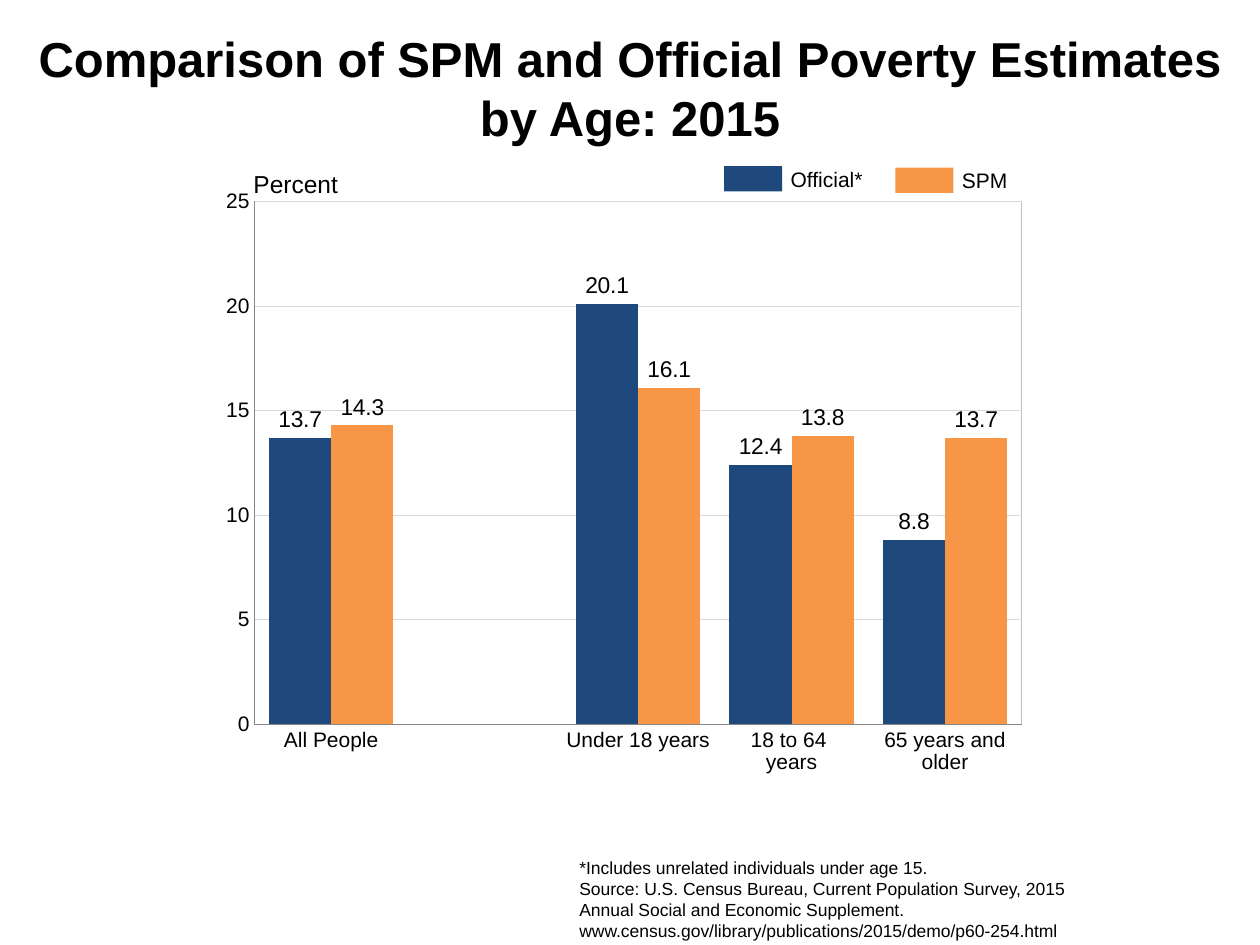
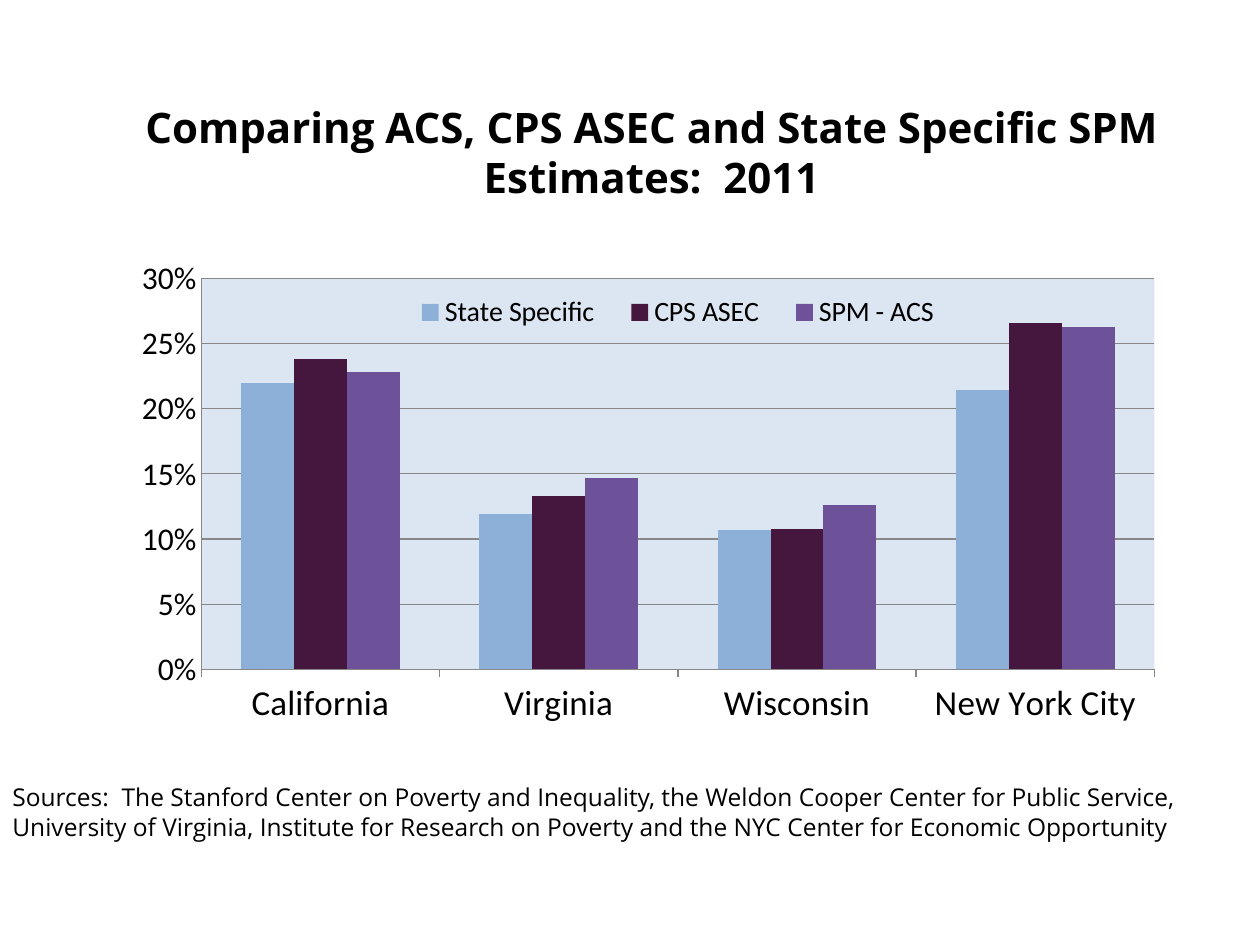
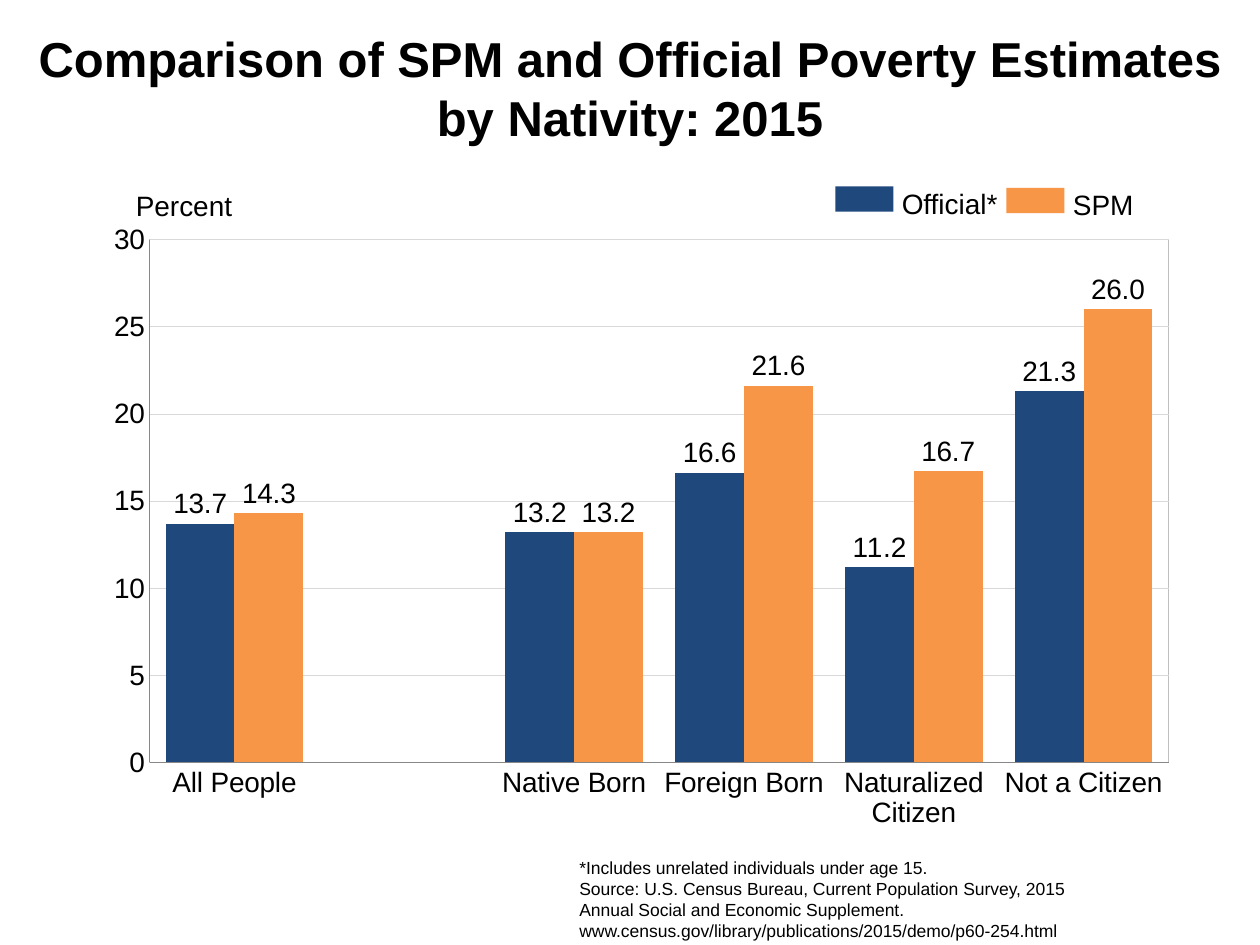
from pptx import Presentation
from pptx.chart.data import CategoryChartData
from pptx.dml.color import RGBColor
from pptx.enum.chart import XL_CHART_TYPE, XL_LABEL_POSITION, XL_LEGEND_POSITION, XL_TICK_MARK
from pptx.enum.shapes import MSO_SHAPE
from pptx.enum.text import MSO_ANCHOR, PP_ALIGN
from pptx.oxml import parse_xml
from pptx.oxml.ns import nsdecls, qn
from pptx.util import Cm, Pt

BLACK = RGBColor(0x00, 0x00, 0x00)
NAVY = RGBColor(0x1F, 0x49, 0x7D)
ORANGE = RGBColor(0xF7, 0x96, 0x46)
SKY = RGBColor(0x8D, 0xB0, 0xD9)
PLUM = RGBColor(0x45, 0x17, 0x3E)
VIOLET = RGBColor(0x6D, 0x52, 0x99)
PALE_BLUE = RGBColor(0xDC, 0xE6, 0xF2)
LIGHT_GREY = RGBColor(0xD9, 0xD9, 0xD9)
FRAME_GREY = RGBColor(0xBF, 0xBF, 0xBF)
AXIS_GREY = RGBColor(0x87, 0x87, 0x87)

CENSUS_FONT = "Arial"
STATE_FONT = "Open Sans"
CHART_FONT = "Calibri"

CENSUS_NOTE = (
    "*Includes unrelated individuals under age 15.\n"
    "Source: U.S. Census Bureau, Current Population Survey, 2015 "
    "Annual Social and Economic Supplement.\n"
    "www.census.gov/library/publications/2015/demo/p60-254.html"
)
STATE_SOURCES = (
    "Sources:  The Stanford Center on Poverty and Inequality, the Weldon Cooper Center "
    "for Public Service, University of Virginia, Institute for Research on Poverty "
    "and the NYC Center for Economic Opportunity"
)


def style_font(font, name, size, bold=False):
    font.name = name
    font.size = Pt(size)
    font.bold = bold
    font.color.rgb = BLACK


def add_text(slide, box, text, font_name, size, bold=False, inset=True):
    frame = slide.shapes.add_textbox(*map(Cm, box)).text_frame
    frame.word_wrap = True
    if not inset:
        frame.margin_left = frame.margin_right = frame.margin_top = frame.margin_bottom = 0
    frame.text = text
    for paragraph in frame.paragraphs:
        for run in paragraph.runs:
            style_font(run.font, font_name, size, bold)
    return frame


def add_title(slide, box, text, font_name, size):
    frame = add_text(slide, box, text, font_name, size, bold=True)
    frame.vertical_anchor = MSO_ANCHOR.MIDDLE
    frame.paragraphs[0].alignment = PP_ALIGN.CENTER


def manual_layout(bounds, inner=False):
    target = '<c:layoutTarget val="inner"/>' if inner else ""
    modes = '<c:xMode val="edge"/><c:yMode val="edge"/>'
    sizes = "".join(f'<c:{key} val="{value}"/>' for key, value in zip("xywh", bounds))
    return parse_xml(
        f'<c:layout {nsdecls("c")}><c:manualLayout>{target}{modes}{sizes}'
        "</c:manualLayout></c:layout>"
    )


def style_plot_area(chart, bounds, fill=None, frame=None):
    plot_area = chart._chartSpace.chart.plotArea
    for layout in plot_area.findall(qn("c:layout")):
        plot_area.remove(layout)
    plot_area.insert(0, manual_layout(bounds, inner=True))

    def paint(color):
        if color is None:
            return "<a:noFill/>"
        return f'<a:solidFill><a:srgbClr val="{color}"/></a:solidFill>'

    plot_area.append(parse_xml(
        f'<c:spPr {nsdecls("c", "a")}>{paint(fill)}<a:ln w="9525">{paint(frame)}</a:ln></c:spPr>'
    ))


def add_columns(slide, box, categories, series, gap, category_tick, number_format,
                axis_font, category_size, value_size, grid_color, grid_width):
    data = CategoryChartData()
    data.categories = categories
    for name, values, _ in series:
        data.add_series(name, values)
    chart = slide.shapes.add_chart(XL_CHART_TYPE.COLUMN_CLUSTERED, *map(Cm, box), data).chart
    chart.has_title = False
    chart.has_legend = False
    style_font(chart.font, CHART_FONT, 10)
    plot = chart.plots[0]
    plot.gap_width = gap
    plot.vary_by_categories = False
    for column, (_, _, color) in zip(plot.series, series):
        column.format.fill.solid()
        column.format.fill.fore_color.rgb = color
        column.invert_if_negative = False

    axes = ((chart.category_axis, category_size, category_tick),
            (chart.value_axis, value_size, XL_TICK_MARK.NONE))
    for axis, size, tick in axes:
        style_font(axis.tick_labels.font, axis_font, size)
        axis.major_tick_mark = tick
        axis.minor_tick_mark = XL_TICK_MARK.NONE
        axis.format.line.color.rgb = AXIS_GREY
        axis.format.line.width = Pt(0.75)
    values_axis = chart.value_axis
    values_axis.tick_labels.number_format = number_format
    values_axis.tick_labels.number_format_is_linked = False
    values_axis.has_major_gridlines = True
    grid = values_axis.major_gridlines.format.line
    grid.color.rgb = grid_color
    grid.width = Pt(grid_width)
    values_axis.minimum_scale = 0
    return chart


def add_census_key(slide, left, top, size):
    for index, (label, color) in enumerate((("Official*", NAVY), ("SPM", ORANGE))):
        x = left + index * 3.45
        y = top + index * 0.03
        swatch = slide.shapes.add_shape(MSO_SHAPE.RECTANGLE, Cm(x), Cm(y), Cm(1.17), Cm(0.51))
        swatch.shadow.inherit = False
        swatch.fill.solid()
        swatch.fill.fore_color.rgb = color
        swatch.line.fill.background()
        add_text(slide, (x + 1.34, y, 2.08, 0.6), label, CENSUS_FONT, size, inset=False)


def census_slide(slide, topic, chart_box, plot_bounds, categories, official, spm, maximum,
                 axis_size, label_size, percent_at, percent_size, key_at):
    add_title(slide, (0, 0.36, 25.4, 2.82),
              f"Comparison of SPM and Official Poverty Estimates by {topic}: 2015",
              CENSUS_FONT, 28)
    add_text(slide, (11.43, 17.15, 11, 1.9), CENSUS_NOTE, CENSUS_FONT, 10)
    chart = add_columns(
        slide, chart_box, categories,
        (("Series 1", official, NAVY), ("Series 2", spm, ORANGE)),
        gap=47, category_tick=XL_TICK_MARK.NONE, number_format="#,##0",
        axis_font=CENSUS_FONT, category_size=axis_size, value_size=axis_size,
        grid_color=LIGHT_GREY, grid_width=0.25)
    style_plot_area(chart, plot_bounds, frame=FRAME_GREY)
    chart.value_axis.maximum_scale = maximum
    chart.value_axis.major_unit = 5
    for column in chart.plots[0].series:
        labels = column.data_labels
        labels.show_value = True
        labels.position = XL_LABEL_POSITION.OUTSIDE_END
        labels.number_format = "#,##0.0"
        labels.number_format_is_linked = False
        style_font(labels.font, CENSUS_FONT, label_size)
    add_text(slide, (*percent_at, 10.57, 0.64), "Percent", CENSUS_FONT, percent_size, inset=False)
    add_census_key(slide, *key_at, axis_size)


def state_slide(slide):
    add_title(slide, (2.34, 1.47, 21.59, 3.18),
              "Comparing ACS, CPS ASEC and State Specific SPM Estimates:  2011", STATE_FONT, 24)
    chart = add_columns(
        slide, (1.9, 4.24, 21.59, 11.43),
        ("California", "Virginia", "Wisconsin", "New York City"),
        (("State Specific", (0.22, 0.119, 0.107, 0.214), SKY),
         ("CPS ASEC", (0.238, 0.133, 0.108, 0.266), PLUM),
         ("SPM - ACS", (0.228, 0.147, 0.126, 0.263), VIOLET)),
        gap=150, category_tick=XL_TICK_MARK.OUTSIDE, number_format="0%",
        axis_font=CHART_FONT, category_size=20, value_size=18,
        grid_color=AXIS_GREY, grid_width=0.75)
    style_plot_area(chart, (0.1, 0.12, 0.89, 0.69), fill=PALE_BLUE)
    chart.value_axis.maximum_scale = 0.3
    chart.value_axis.major_unit = 0.05
    chart.has_legend = True
    legend = chart.legend
    legend.position = XL_LEGEND_POSITION.TOP
    legend.include_in_layout = False
    style_font(legend.font, CHART_FONT, 16)
    legend._element.find(qn("c:legendPos")).addnext(manual_layout((0.28, 0.14, 0.53, 0.08)))
    add_text(slide, (0, 15.65, 25.4, 1.7), STATE_SOURCES, STATE_FONT, 14)


def main():
    deck = Presentation()
    deck.slide_width = Cm(25.4)
    deck.slide_height = Cm(19.05)
    age, states, nativity = (deck.slides.add_slide(deck.slide_layouts[6]) for _ in range(3))
    census_slide(
        age, "Age", (3.53, 3.68, 17.78, 12.7), (0.09, 0.03, 0.87, 0.83),
        ("All People", "", "Under 18 years", "18 to 64 \nyears", "65 years and older"),
        (13.7, None, 20.1, 12.4, 8.8), (14.3, None, 16.1, 13.8, 13.7), maximum=25,
        axis_size=12, label_size=13, percent_at=(5.11, 3.4), percent_size=14,
        key_at=(14.6, 3.35))
    state_slide(states)
    census_slide(
        nativity, "Nativity", (1.47, 4.45, 22.1, 12.7), (0.07, 0.03, 0.93, 0.83),
        ("All People", "", "Native Born", "Foreign Born", "Naturalized Citizen",
         "Not a Citizen"),
        (13.7, None, 13.2, 16.6, 11.2, 21.3), (14.3, None, 13.2, 21.6, 16.7, 26.0), maximum=30,
        axis_size=16, label_size=16, percent_at=(2.74, 3.81), percent_size=16,
        key_at=(16.84, 3.76))
    deck.save("out.pptx")


if __name__ == "__main__":
    main()
